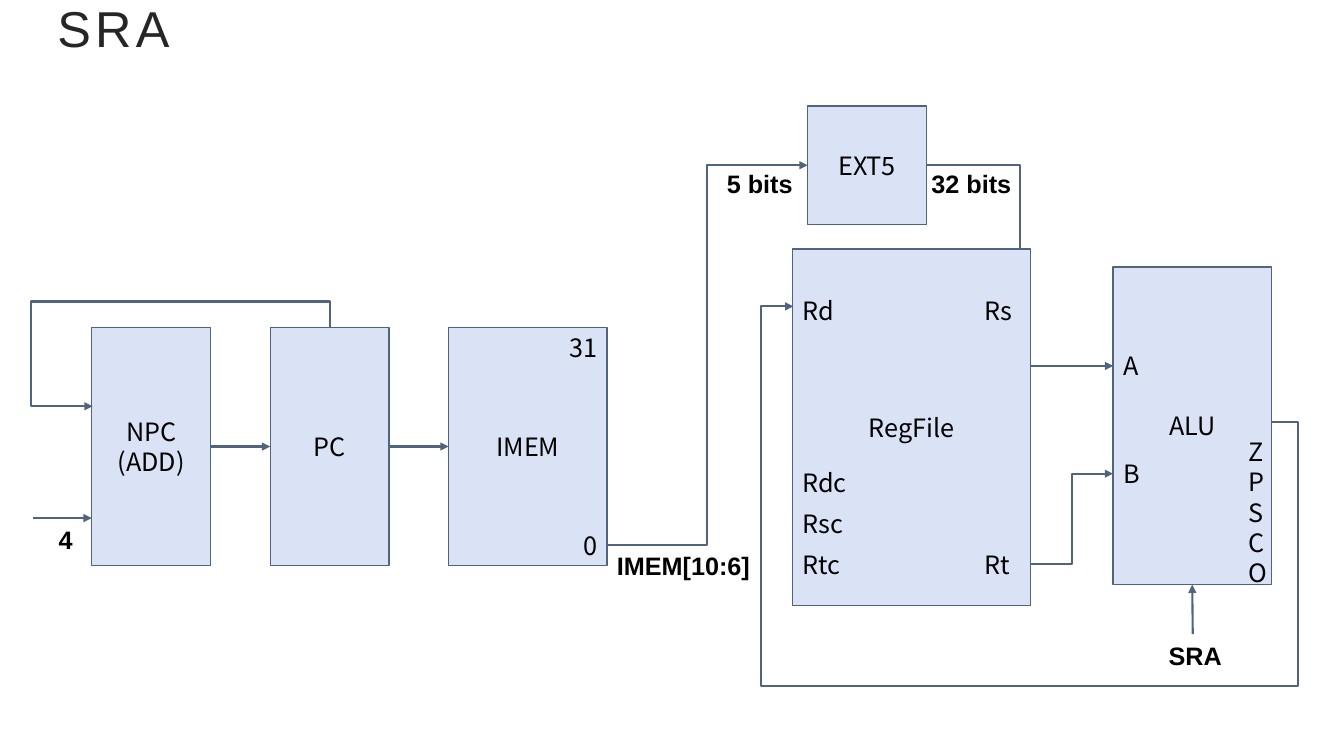
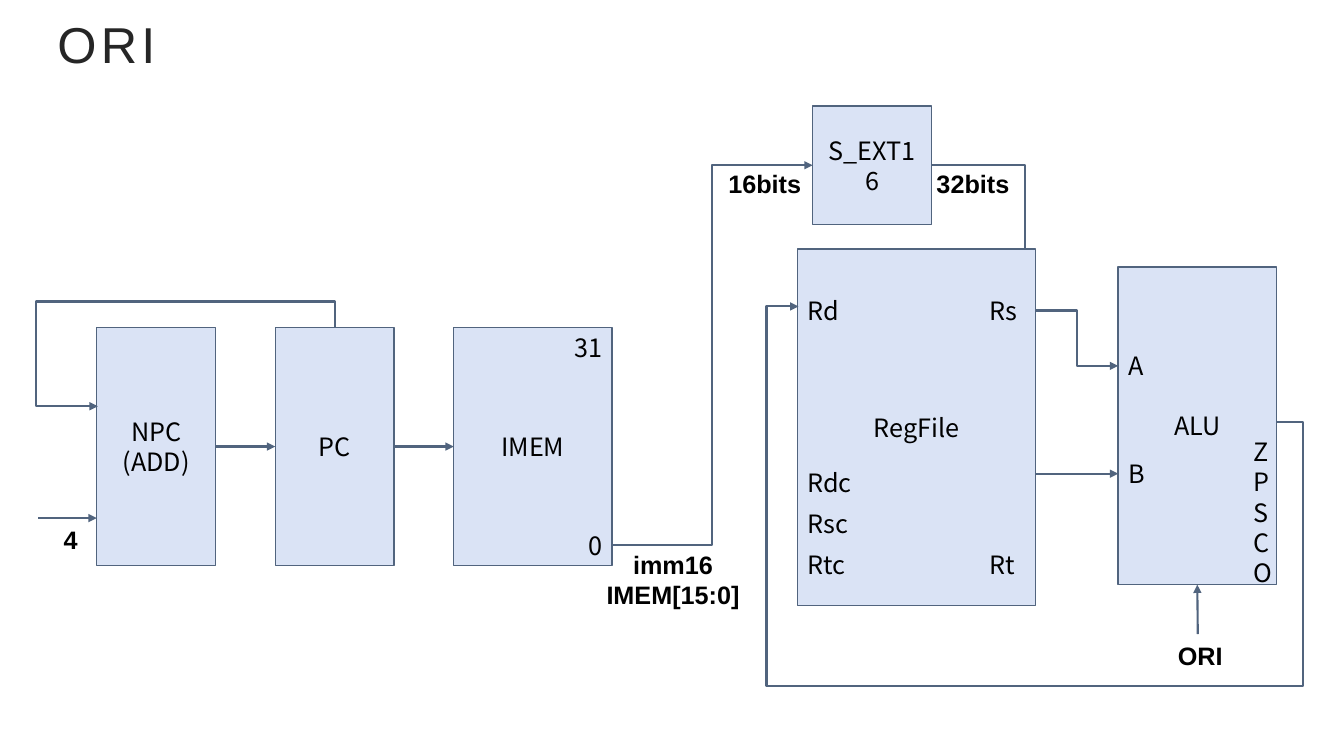
from dataclasses import dataclass

from lxml.etree import SubElement
from pptx import Presentation
from pptx.dml.color import RGBColor
from pptx.enum.shapes import MSO_CONNECTOR, MSO_SHAPE
from pptx.enum.text import MSO_ANCHOR, MSO_AUTO_SIZE, PP_ALIGN
from pptx.oxml.ns import qn
from pptx.util import Inches, Pt

FILL, LINE, INK, TITLE_INK = "DAE3F5", "51647E", "000000", "262626"
PORT_FORMAT = {"name": "Noto Sans CJK JP", "size": Pt(18), "bold": False}
SIGNAL_FORMAT = {"name": "Arial", "size": Pt(18), "bold": True}
TITLE_FORMAT = {"name": "Arial", "size": Pt(36), "bold": False}
LEFT, CENTER, RIGHT = PP_ALIGN.LEFT, PP_ALIGN.CENTER, PP_ALIGN.RIGHT


@dataclass(frozen=True)
class Unit:
    name: str
    left: float
    top: float
    width: float
    height: float


@dataclass(frozen=True)
class Label:
    text: str
    left: float
    top: float
    width: float
    align: PP_ALIGN = LEFT
    height: float = 0.4


@dataclass(frozen=True)
class Wire:
    begin: tuple[float, float]
    end: tuple[float, float]
    preset: str = "line"
    adjustments: tuple[int, ...] = ()
    turned: bool = False
    begin_join: tuple[str, int] | None = None
    end_join: tuple[str, int] | None = None


@dataclass(frozen=True)
class Instruction:
    name: str
    title_top: float
    shift: float
    extender: str
    extender_target: float
    operand: Wire
    signals: tuple[Label, ...]


UNITS = (
    Unit("NPC\n(ADD)", 0.91, 3.25, 1.18, 2.36),
    Unit("PC", 2.68, 3.25, 1.18, 2.36),
    Unit("IMEM", 4.45, 3.25, 1.57, 2.36),
    Unit("RegFile", 7.86, 2.47, 2.36, 3.54),
    Unit("ALU", 11.04, 2.65, 1.57, 3.15),
)
PORTS = (
    Label("0", 5.5, 5.21, 0.52, RIGHT),
    Label("31", 5.28, 3.25, 0.74, RIGHT),
    Label("Rd", 7.86, 2.88, 0.56),
    *(Label(name, 7.86, 4.59 + 0.405 * row, 0.75) for row, name in enumerate(("Rdc", "Rsc", "Rtc"))),
    Label("Rs", 9.67, 2.88, 0.56),
    Label("Rt", 9.67, 5.4, 0.56),
    Label("A", 11.04, 3.43, 0.74),
    Label("B", 11.04, 4.5, 0.52),
    Label("ZPSCO", 12.28, 4.28, 0.34, CENTER, 1.52),
)
WIRES = (
    Wire((2.09, 4.43), (2.68, 4.43), begin_join=("NPC\n(ADD)", 3), end_join=("PC", 1)),
    Wire((3.86, 4.43), (4.45, 4.43), begin_join=("PC", 3), end_join=("IMEM", 1)),
    Wire((0.33, 5.14), (0.91, 5.14)),
    Wire((3.27, 3.25), (0.92, 4.03), "bentConnector4", (-33300, 126100), turned=True),
    Wire((6.02, 5.41), (8.01, 1.64), "bentConnector3", (50000,)),
    Wire((11.83, 6.29), (11.83, 5.8), end_join=("ALU", 2)),
    Wire((12.61, 4.19), (7.87, 3.04), "bentConnector5", (-5500, -227400, 106700)),
)
INSTRUCTIONS = (
    Instruction(
        "SRA", -0.11, 0, "EXT5", 3.63,
        Wire((10.23, 5.6), (11.04, 4.7), "bentConnector3", (50000,)),
        (
            Label("5 bits", 7.06, 1.62, 0.95, CENTER),
            Label("32 bits", 9.14, 1.62, 1.04),
            Label("IMEM[10:6]", 6.02, 5.41, 1.99),
        ),
    ),
    Instruction(
        "ORI", 0.04, 0.05, "S_EXT16", 4.7,
        Wire((10.23, 3.08), (11.04, 3.63), "bentConnector3", (50000,)),
        (
            Label("16bits", 7.06, 1.62, 0.95, CENTER),
            Label("32bits", 9.14, 1.62, 1.04),
            Label("imm16\nIMEM[15:0]", 5.63, 5.4, 1.99, CENTER, 0.71),
        ),
    ),
)


def color(value: str) -> RGBColor:
    """Turn a hex string into a colour."""
    return RGBColor.from_string(value)


def write(shape, text: str, formats: dict, align: PP_ALIGN, ink: str = INK) -> None:
    """Fill a shape with formatted paragraphs."""
    frame = shape.text_frame
    frame.word_wrap = True
    frame.text = text
    for para in frame.paragraphs:
        para.alignment = align
        for span in para.runs:
            for key, value in formats.items():
                setattr(span.font, key, value)
            span.font.color.rgb = color(ink)


def add_title(page, text: str, top: float) -> None:
    """Place and format the title placeholder."""
    title = page.shapes.title
    place = {"left": Inches(0.47), "top": Inches(top), "width": Inches(12), "height": Inches(0.77)}
    for key, value in place.items():
        setattr(title, key, value)
    write(title, text, TITLE_FORMAT, LEFT, TITLE_INK)
    title.text_frame.auto_size = MSO_AUTO_SIZE.NONE
    title.text_frame.vertical_anchor = MSO_ANCHOR.MIDDLE
    for span in title.text_frame.paragraphs[0].runs:
        span.font._element.set("spc", "300")


def add_unit(page, unit: Unit, shift: float):
    """Draw one hardware unit as a rectangle."""
    box = page.shapes.add_shape(
        MSO_SHAPE.RECTANGLE, Inches(unit.left + shift), Inches(unit.top),
        Inches(unit.width), Inches(unit.height),
    )
    box.shadow.inherit = False
    box.fill.solid()
    box.fill.fore_color.rgb = color(FILL)
    box.line.color.rgb = color(LINE)
    box.line.width = Pt(1)
    box.text_frame.vertical_anchor = MSO_ANCHOR.MIDDLE
    write(box, unit.name, PORT_FORMAT, CENTER)
    return box


def add_label(page, label: Label, formats: dict, shift: float) -> None:
    """Draw one text label."""
    box = page.shapes.add_textbox(
        Inches(label.left + shift), Inches(label.top), Inches(label.width), Inches(label.height)
    )
    write(box, label.text, formats, label.align)


def add_wire(page, wire: Wire, boxes: dict, shift: float) -> None:
    """Draw one arrow, bent by its preset and joined where it says so."""
    (x1, y1), (x2, y2) = wire.begin, wire.end
    if wire.turned:
        middle_x, middle_y = (x1 + x2) / 2, (y1 + y2) / 2
        half_x, half_y = (x1 - x2) / 2, (y1 - y2) / 2
        x1, y1 = middle_x - half_y, middle_y + half_x
        x2, y2 = middle_x + half_y, middle_y - half_x
    kind = MSO_CONNECTOR.STRAIGHT if wire.preset == "line" else MSO_CONNECTOR.ELBOW
    connector = page.shapes.add_connector(
        kind, Inches(x1 + shift), Inches(y1), Inches(x2 + shift), Inches(y2)
    )
    connector.line.color.rgb = color(LINE)
    connector.line.width = Pt(1.5)
    properties = connector._element.spPr
    SubElement(properties.find(qn("a:ln")), qn("a:tailEnd"), type="triangle")
    SubElement(properties, qn("a:effectLst"))
    if wire.turned:
        properties.find(qn("a:xfrm")).set("rot", "16200000")
    if wire.adjustments:
        geometry = properties.find(qn("a:prstGeom"))
        geometry.set("prst", wire.preset)
        guides = geometry.find(qn("a:avLst"))
        for number, value in enumerate(wire.adjustments, 1):
            SubElement(guides, qn("a:gd"), name=f"adj{number}", fmla=f"val {value}")
    if wire.begin_join:
        name, site = wire.begin_join
        connector.begin_connect(boxes[name], site)
    if wire.end_join:
        name, site = wire.end_join
        connector.end_connect(boxes[name], site)


def add_datapath(deck, instruction: Instruction) -> None:
    """Draw the datapath slide of one instruction."""
    page = deck.slides.add_slide(deck.slide_layouts[5])
    shift = instruction.shift
    add_title(page, instruction.name, instruction.title_top)
    extended = Wire((9.19, 1.64), (11.04, instruction.extender_target), "bentConnector3", (50000,))
    add_wire(page, extended, {}, shift)
    extender = Unit(instruction.extender, 8.01, 1.05, 1.18, 1.18)
    boxes = {unit.name: add_unit(page, unit, shift) for unit in (*UNITS, extender)}
    for wire in (*WIRES, instruction.operand):
        add_wire(page, wire, boxes, shift)
    for port in PORTS:
        add_label(page, port, PORT_FORMAT, shift)
    shared = (Label("4", 0.39, 5.15, 0.52, CENTER), Label(instruction.name, 11.1, 6.3, 1.51, CENTER))
    for signal in (*shared, *instruction.signals):
        add_label(page, signal, SIGNAL_FORMAT, shift)


def main() -> None:
    """Build and save the deck."""
    deck = Presentation()
    deck.slide_width, deck.slide_height = Inches(13.33), Inches(7.5)
    for instruction in INSTRUCTIONS:
        add_datapath(deck, instruction)
    deck.save("out.pptx")


if __name__ == "__main__":
    main()
